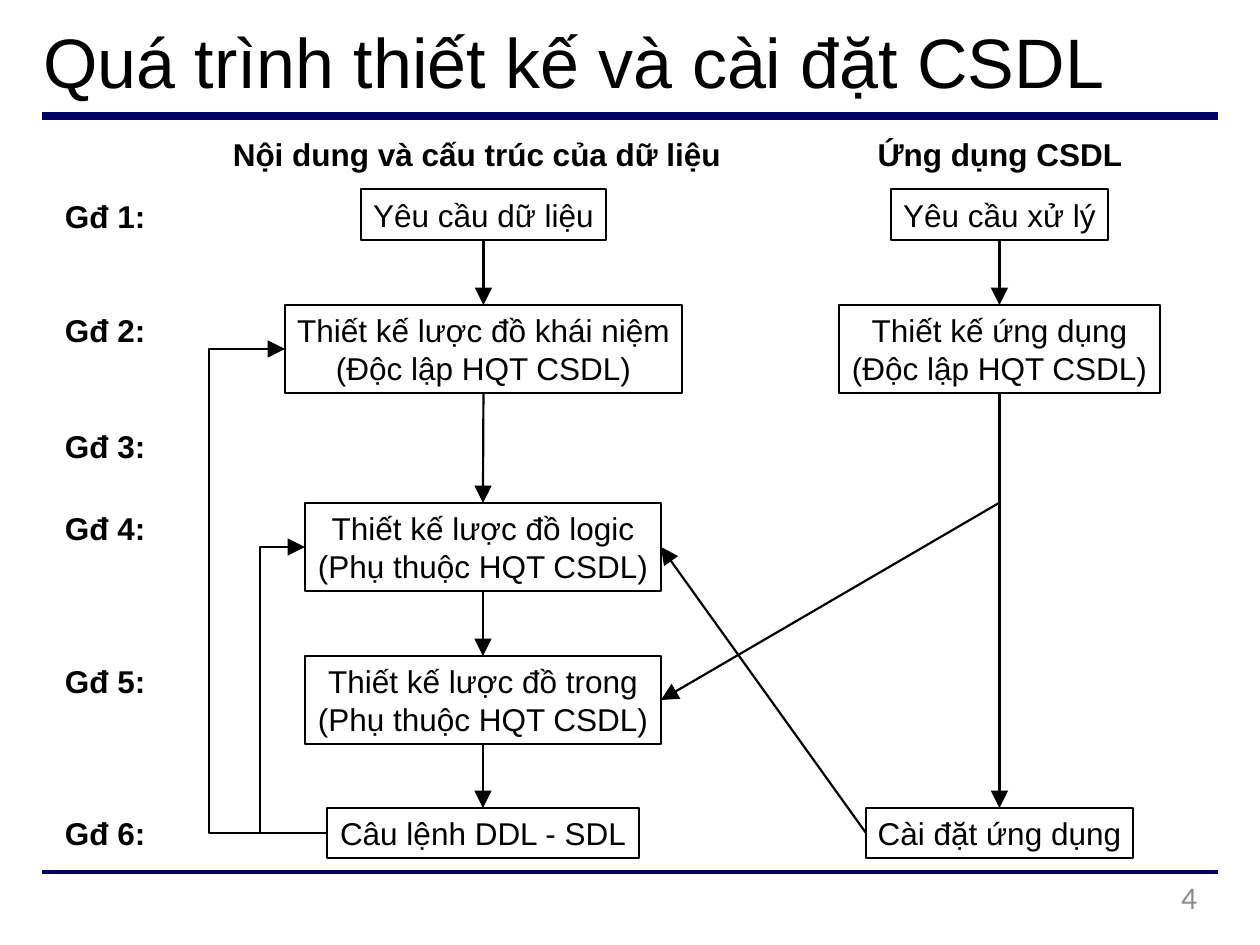
from dataclasses import dataclass

from lxml import etree
from pptx import Presentation
from pptx.dml.color import RGBColor
from pptx.enum.shapes import MSO_CONNECTOR, MSO_SHAPE
from pptx.enum.text import MSO_ANCHOR, PP_ALIGN
from pptx.oxml.ns import qn
from pptx.util import Pt

EMU_PER_PX = 914400 / 126
STRAIGHT = MSO_CONNECTOR.STRAIGHT
RECTANGLE = MSO_SHAPE.RECTANGLE
LEFT, CENTER, RIGHT = PP_ALIGN.LEFT, PP_ALIGN.CENTER, PP_ALIGN.RIGHT
TOP, MIDDLE, BOTTOM = MSO_ANCHOR.TOP, MSO_ANCHOR.MIDDLE, MSO_ANCHOR.BOTTOM
SIDE_TOP, SIDE_LEFT, SIDE_BOTTOM, SIDE_RIGHT = range(4)
COLORS = {"ink": "000000", "rule": "000066", "page": "8C8C8C"}
DATA_X, APP_X = 483, 999


@dataclass(frozen=True)
class Step:
    text: str
    center: int
    top: int
    width: int
    height: int

    @property
    def left(self) -> int:
        return self.center - self.width // 2

    @property
    def middle(self) -> int:
        return self.top + self.height // 2


@dataclass(frozen=True)
class Phase:
    number: int
    top: int


STEPS = {
    "data_needs": Step("Yêu cầu dữ liệu", DATA_X, 189, 245, 51),
    "conceptual": Step("Thiết kế lược đồ khái niệm\n(Độc lập HQT CSDL)", DATA_X, 305, 397, 88),
    "logical": Step("Thiết kế lược đồ logic\n(Phụ thuộc HQT CSDL)", DATA_X, 503, 356, 88),
    "internal": Step("Thiết kế lược đồ trong\n(Phụ thuộc HQT CSDL)", DATA_X, 656, 356, 88),
    "statements": Step("Câu lệnh DDL - SDL", DATA_X, 808, 312, 50),
    "process_needs": Step("Yêu cầu xử lý", APP_X, 189, 217, 51),
    "app_design": Step("Thiết kế ứng dụng\n(Độc lập HQT CSDL)", APP_X, 305, 321, 88),
    "app_build": Step("Cài đặt ứng dụng", APP_X, 808, 267, 50),
}
DATA_FLOW = ["data_needs", "conceptual", "logical", "internal", "statements"]
APP_FLOW = ["process_needs", "app_design", "app_build"]
PHASES = [Phase(1, 195), Phase(2, 309), Phase(3, 425),
          Phase(4, 507), Phase(5, 660), Phase(6, 812)]


def px(length: int) -> int:
    return round(length * EMU_PER_PX)


def color(name: str) -> RGBColor:
    return RGBColor.from_string(COLORS[name])


def write(shape, text: str, *, size: int = 18, font: str = "Arial", ink: str = "ink",
          bold: bool = False, align=LEFT, anchor=MIDDLE) -> None:
    frame = shape.text_frame
    frame.word_wrap = True
    frame.vertical_anchor = anchor
    frame.margin_left = frame.margin_right = frame.margin_top = frame.margin_bottom = 0
    frame.text = text
    for paragraph in frame.paragraphs:
        paragraph.alignment = align
        paragraph.font.size = Pt(size)
        paragraph.font.name = font
        paragraph.font.bold = bold
        paragraph.font.color.rgb = color(ink)


def add_label(slide, text: str, left: int, top: int, width: int, height: int, **style) -> None:
    write(slide.shapes.add_textbox(px(left), px(top), px(width), px(height)), text, **style)


def add_step(slide, step: Step):
    box = slide.shapes.add_shape(RECTANGLE, px(step.left), px(step.top),
                                 px(step.width), px(step.height))
    box.shadow.inherit = False
    box.fill.background()
    set_line(box, 0.75)
    write(box, step.text, align=CENTER)
    return box


def set_line(shape, width: float, ink: str = "ink", arrow: bool = False) -> None:
    shape.line.color.rgb = color(ink)
    shape.line.width = Pt(width)
    if arrow:
        line_xml = shape._element.spPr.find(qn("a:ln"))
        etree.SubElement(line_xml, qn("a:tailEnd"), type="triangle", w="lg", len="lg")


def add_line(slide, start: tuple[int, int] = (0, 0), end: tuple[int, int] = (0, 0),
             width: float = 1.25, ink: str = "ink", arrow: bool = True):
    line = slide.shapes.add_connector(STRAIGHT, *map(px, start), *map(px, end))
    set_line(line, width, ink, arrow)
    etree.SubElement(line._element.spPr, qn("a:effectLst"))
    return line


def add_flow(slide, boxes: dict, names: list[str]) -> None:
    for source, target in zip(names, names[1:]):
        arrow = add_line(slide)
        arrow.begin_connect(boxes[source], SIDE_BOTTOM)
        arrow.end_connect(boxes[target], SIDE_TOP)


def add_feedback(slide, source: Step, target: Step, lane: int) -> None:
    builder = slide.shapes.build_freeform(px(source.left), px(source.middle))
    corners = [(lane, source.middle), (lane, target.middle), (target.left, target.middle)]
    builder.add_line_segments([(px(x), px(y)) for x, y in corners], close=False)
    route = builder.convert_to_shape()
    route.shadow.inherit = False
    route.fill.background()
    set_line(route, 1.25, arrow=True)


def main() -> None:
    deck = Presentation()
    deck.slide_width, deck.slide_height = px(1260), px(945)
    slide = deck.slides.add_slide(deck.slide_layouts[6])

    for y, width in ((116, 4.5), (872, 2.25)):
        add_line(slide, (42, y), (1218, y), width, "rule", arrow=False)
    add_label(slide, "Quá trình thiết kế và cài đặt CSDL", 43, 6, 1175, 96,
              size=40, anchor=BOTTOM)
    add_label(slide, "Nội dung và cấu trúc của dữ liệu", 217, 133, 520, 42,
              bold=True, align=CENTER)
    add_label(slide, "Ứng dụng CSDL", 860, 133, 280, 42, bold=True, align=CENTER)
    for phase in PHASES:
        add_label(slide, f"Gđ {phase.number}:", 65, phase.top, 100, 42, bold=True)

    boxes = {name: add_step(slide, step) for name, step in STEPS.items()}
    add_flow(slide, boxes, DATA_FLOW)
    add_flow(slide, boxes, APP_FLOW)
    add_feedback(slide, STEPS["statements"], STEPS["conceptual"], 209)
    add_feedback(slide, STEPS["statements"], STEPS["logical"], 260)

    branch = add_line(slide, (APP_X, STEPS["logical"].top))
    branch.end_connect(boxes["internal"], SIDE_RIGHT)
    schema_link = add_line(slide)
    schema_link.begin_connect(boxes["app_build"], SIDE_LEFT)
    schema_link.end_connect(boxes["logical"], SIDE_RIGHT)

    add_label(slide, "4", 907, 878, 290, 48, font="Calibri", ink="page",
              align=RIGHT, anchor=TOP)
    deck.save("out.pptx")


if __name__ == "__main__":
    main()
